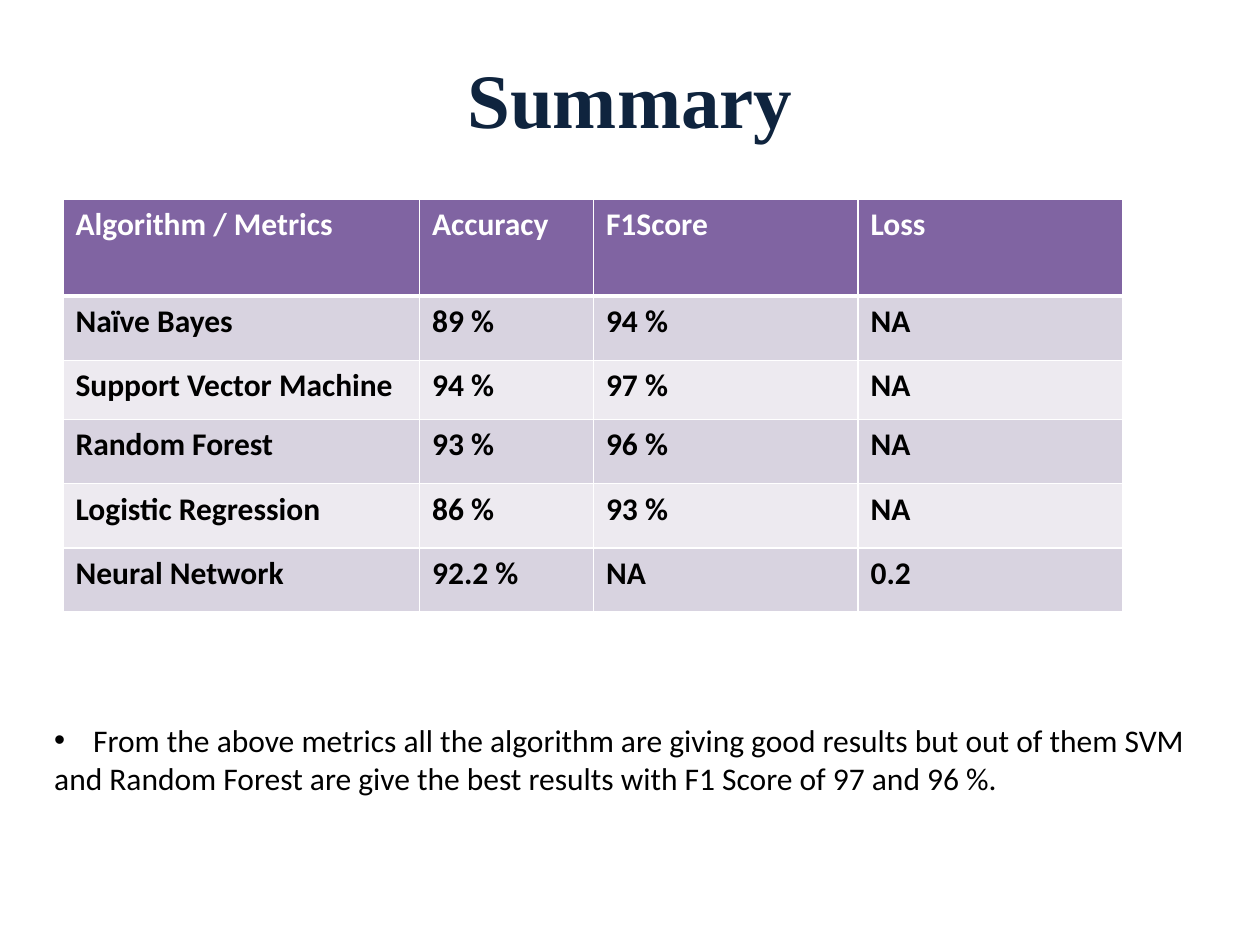
from lxml import etree
from pptx import Presentation, util as u
from pptx.dml.color import RGBColor
from pptx.enum import text
from pptx.oxml import ns

TITLE = "Summary"
METRICS = [
    ("Algorithm / Metrics", "Accuracy", "F1Score", "Loss"),
    ("Naïve Bayes", "89 %", "94 %", "NA"),
    ("Support Vector Machine", "94 %", "97 %", "NA"),
    ("Random Forest", "93 %", "96 %", "NA"),
    ("Logistic Regression", "86 %", "93 %", "NA"),
    ("Neural Network", "92.2 %", "NA", "0.2"),
]
CONCLUSION = [
    ("From the above metrics all the algorithm are giving good results but out of them SVM", True),
    ("and Random Forest are give the best results with F1 Score of 97 and 96 %.", False),
]

COLORS = {"title": "0F243E", "header": "8064A2", "odd": "D8D3E0",
          "even": "EDEAF0", "white": "FFFFFF", "text": "000000"}
TITLE_FONT = {"name": "Times New Roman", "size": u.Pt(44), "bold": True}
CELL_FONT = {"name": "Calibri", "size": u.Pt(18), "bold": True}
BODY_FONT = {**CELL_FONT, "bold": False}

TITLE_BOX = (0.5, 0.3, 9, 0.95)
TABLE_ORIGIN = (0.5, 1.58)
BODY_BOX = (0.33, 5.67, 9.87, 0.71)
COLUMN_WIDTHS = [2.83, 1.38, 2.1, 2.1]
ROW_HEIGHTS = [0.77, 0.51, 0.47, 0.51, 0.51, 0.51]
BULLET_INDENT = 0.31


def place(shape, box):
    for name, value in zip(("left", "top", "width", "height"), box):
        setattr(shape, name, u.Inches(value))


def style(font, values, color):
    for name, value in values.items():
        setattr(font, name, value)
    font.color.rgb = RGBColor.from_string(COLORS[color])


def add_child(parent, tag, **attributes):
    return etree.SubElement(parent, ns.qn(tag), attributes)


def set_borders(cell, widths):
    """Draw white borders; widths are points by side, in schema order."""
    properties = cell._tc.get_or_add_tcPr()
    for side, width in widths.items():
        line = add_child(properties, f"a:ln{side}", w=str(u.Pt(width)))
        add_child(add_child(line, "a:solidFill"), "a:srgbClr", val=COLORS["white"])


def add_title(slide):
    title = slide.shapes.title
    place(title, TITLE_BOX)
    title.text_frame.text = TITLE
    title.text_frame.vertical_anchor = text.MSO_ANCHOR.MIDDLE
    paragraph = title.text_frame.paragraphs[0]
    paragraph.alignment = text.PP_ALIGN.CENTER
    style(paragraph.runs[0].font, TITLE_FONT, "title")


def add_metrics_table(slide):
    box = (*TABLE_ORIGIN, sum(COLUMN_WIDTHS), sum(ROW_HEIGHTS))
    table = slide.shapes.add_table(len(METRICS), len(COLUMN_WIDTHS),
                                   *map(u.Inches, box)).table
    for column, width in zip(table.columns, COLUMN_WIDTHS):
        column.width = u.Inches(width)
    for row, (height, values) in enumerate(zip(ROW_HEIGHTS, METRICS)):
        table.rows[row].height = u.Inches(height)
        fill = "header" if row == 0 else ("even", "odd")[row % 2]
        widths = {"L": 1, "R": 1, "T": 3 if row == 1 else 1, "B": 3 if row == 0 else 1}
        for column, value in enumerate(values):
            cell = table.cell(row, column)
            cell.text = value
            style(cell.text_frame.paragraphs[0].runs[0].font, CELL_FONT,
                  "text" if row else "white")
            set_borders(cell, widths)
            cell.fill.solid()
            cell.fill.fore_color.rgb = RGBColor.from_string(COLORS[fill])


def add_conclusion(slide):
    body = slide.placeholders[1]
    place(body, BODY_BOX)
    frame = body.text_frame
    frame.word_wrap = True
    frame.auto_size = text.MSO_AUTO_SIZE.SHAPE_TO_FIT_TEXT
    frame.text = "\n".join(line for line, _ in CONCLUSION)
    for paragraph, (_, bulleted) in zip(frame.paragraphs, CONCLUSION):
        paragraph.space_before = u.Pt(0)
        style(paragraph.runs[0].font, BODY_FONT, "text")
        indent = u.Inches(BULLET_INDENT if bulleted else 0)
        properties = paragraph._p.get_or_add_pPr()
        properties.set("marL", str(indent))
        properties.set("indent", str(-indent))
        if bulleted:
            add_child(properties, "a:buFont", typeface="Arial")
            add_child(properties, "a:buChar", char="•")
        else:
            add_child(properties, "a:buNone")


def main():
    presentation = Presentation()
    presentation.slide_width, presentation.slide_height = u.Inches(10), u.Inches(7.5)
    slide = presentation.slides.add_slide(presentation.slide_layouts[1])
    add_title(slide)
    add_metrics_table(slide)
    add_conclusion(slide)
    presentation.save("out.pptx")


if __name__ == "__main__":
    main()
